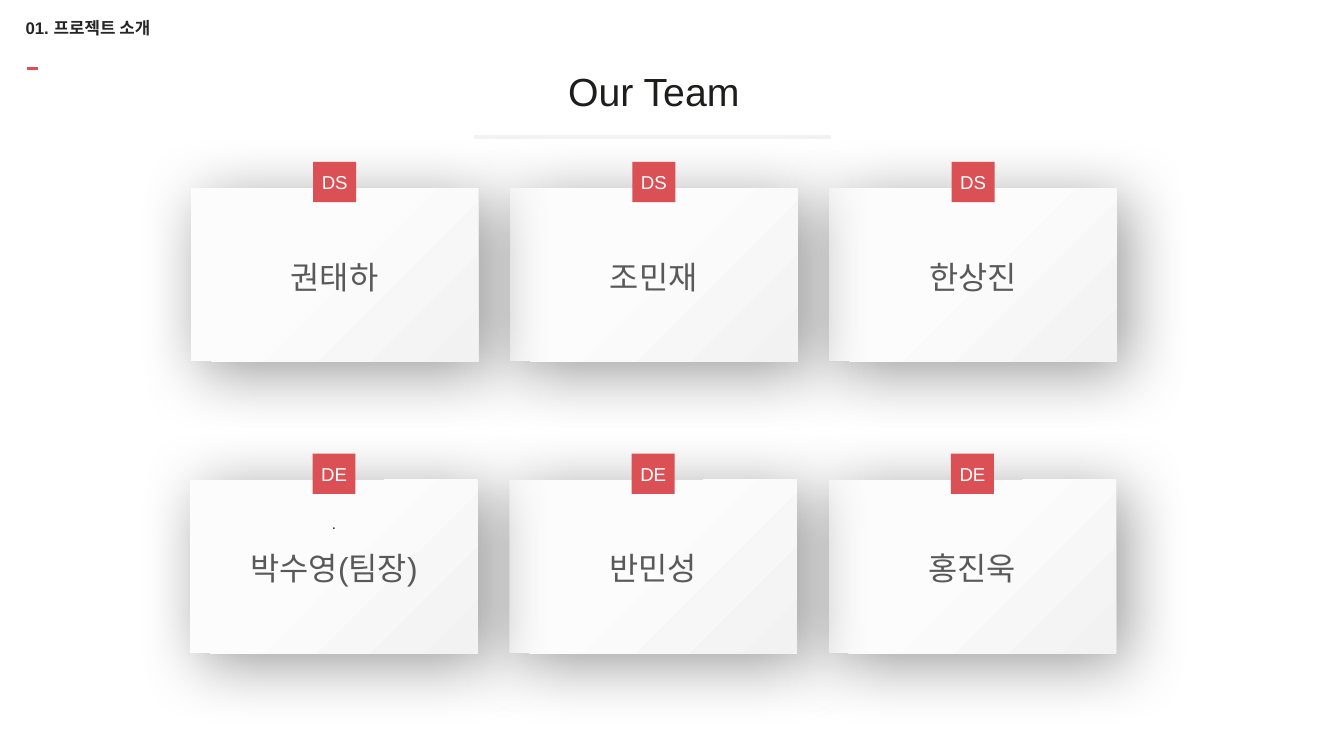
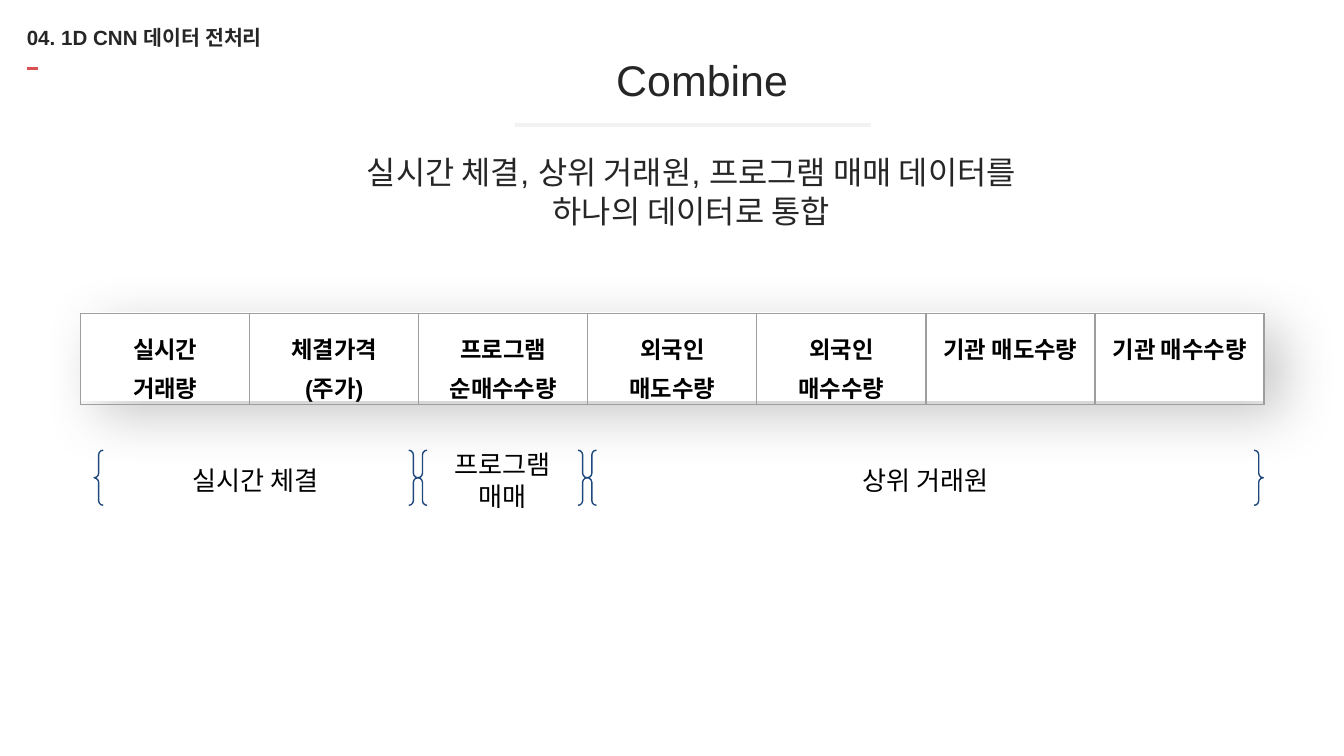
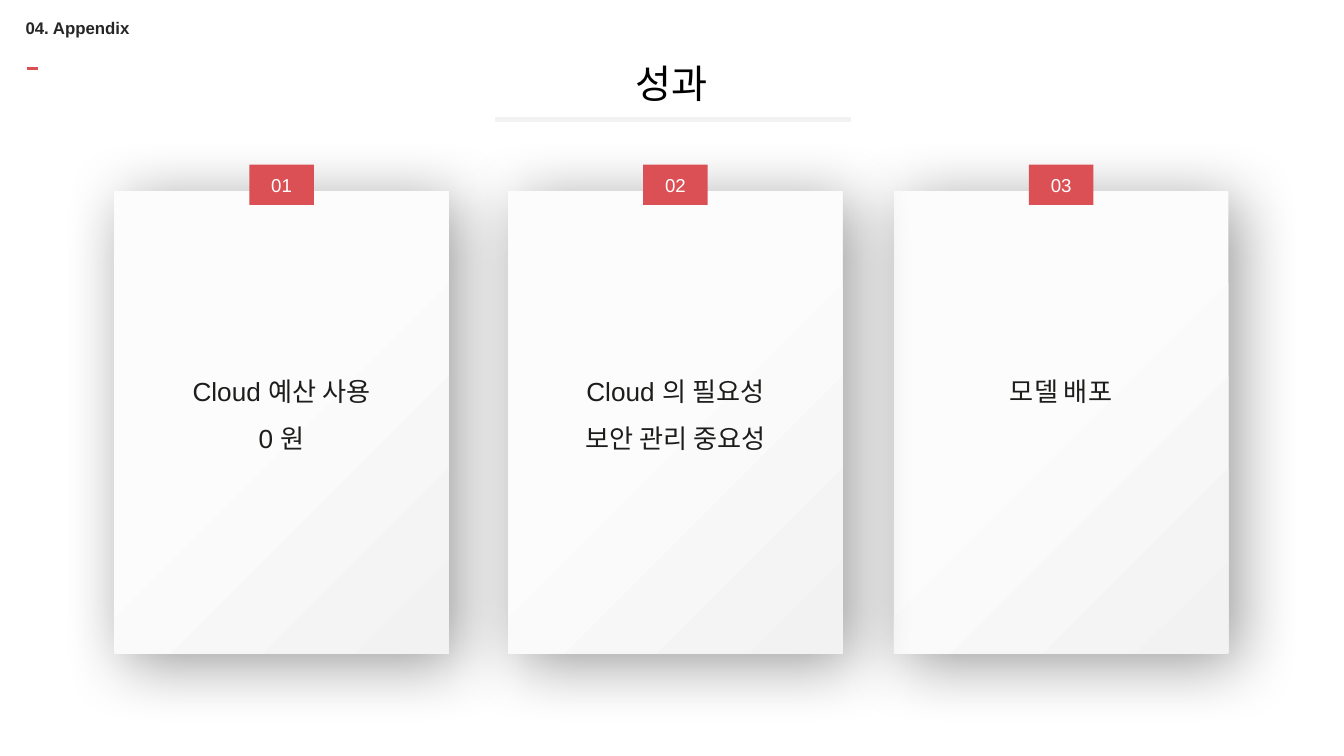
"""Build three project slides: team, combined data columns and results."""
from copy import deepcopy

from lxml import etree
from pptx import Presentation
from pptx import util as u
from pptx.dml.color import RGBColor
from pptx.enum import shapes, text
from pptx.oxml.ns import qn

RED, PALE, INK, BODY, BLACK, WHITE = "DA5054", "F2F2F2", "262626", "1D1D1B", "000000", "FFFFFF"
NAME_GREY, BRACE_BLUE, GRID_GREY, CARD_LIGHT = "595959", "1F497D", "9E9E9E", "FCFCFC"
FONT = "Arial"
COLUMNS, ROWS = 100, 56.25


def color(value):
    return RGBColor.from_string(value)


class Board:
    """Holds the deck, its style and the current page, on a 100-column grid."""

    def __init__(self):
        self.deck = Presentation()
        self.deck.slide_width, self.deck.slide_height = u.Inches(10), u.Inches(5.625)
        self.page = None

    def across(self, columns):
        return round(self.deck.slide_width * columns / COLUMNS)

    def down(self, rows):
        return round(self.deck.slide_height * rows / ROWS)

    def area(self, left, top, width, height):
        return self.across(left), self.down(top), self.across(width), self.down(height)

    def start_page(self, section, size, left, top, width, height):
        self.page = self.deck.slides.add_slide(self.deck.slide_layouts[6])
        self.label(section, (left, top, width, height), size, INK, bold=True, align="LEFT")
        self.line(2, 5.1, 0.8, RED, 2)

    def set_text(self, frame, lines, size, ink, bold=False, align="CENTER", anchor="MIDDLE",
                 insets=(0, 0, 0, 0), spacing=None, gap=0):
        frame.word_wrap = True
        frame.vertical_anchor = text.MSO_ANCHOR[anchor]
        frame.margin_left, frame.margin_right = map(self.across, insets[::2])
        frame.margin_top, frame.margin_bottom = map(self.down, insets[1::2])
        frame.text = lines
        for number, para in enumerate(frame.paragraphs):
            para.alignment = text.PP_ALIGN[align]
            if spacing:
                para.line_spacing = spacing
            if gap and number:
                para.space_before = u.Pt(gap)
            for span in para.runs:
                span.font.name, span.font.size, span.font.bold = FONT, u.Pt(size), bold
                span.font.color.rgb = color(ink)

    def label(self, lines, area, size, ink, **style):
        box = self.page.shapes.add_textbox(*self.area(*area))
        self.set_text(box.text_frame, lines, size, ink, **style)

    def line(self, left, top, length, ink, weight):
        start, level = self.across(left), self.down(top)
        rule = self.page.shapes.add_connector(
            shapes.MSO_CONNECTOR.STRAIGHT, start, level, start + self.across(length), level)
        rule.line.color.rgb, rule.line.width = color(ink), u.Pt(weight)
        etree.SubElement(rule.element.spPr, qn("a:effectLst"))

    def heading(self, title, area, size, ink, rule_left, rule_top, **style):
        self.line(rule_left, rule_top, 26.5, PALE, 2.25)
        self.label(title, area, size, ink, **style)

    def shape(self, kind, area, fill=None, outline=None):
        box = self.page.shapes.add_shape(shapes.MSO_SHAPE[kind], *self.area(*area))
        box.shadow.inherit = False
        if fill:
            box.fill.solid()
            box.fill.fore_color.rgb = color(fill)
        else:
            box.fill.background()
        if outline:
            box.line.color.rgb, box.line.width = color(outline), u.Pt(0.75)
        else:
            box.line.fill.background()
        return box

    def cast_shadow(self, box, opacity, blur, distance, angle):
        effects = box.element.spPr.find(qn("a:effectLst"))
        shadow = etree.SubElement(
            effects, qn("a:outerShdw"), blurRad=str(u.Pt(blur)), dist=str(u.Pt(distance)),
            dir=str(angle * 60000), algn="tl", rotWithShape="0")
        tint = etree.SubElement(shadow, qn("a:srgbClr"), val=BLACK)
        etree.SubElement(tint, qn("a:alpha"), val=str(opacity * 1000))

    def card(self, lines, area, badge, badge_width, size, ink, inset, gap=0):
        left, top, width, _ = area
        box = self.shape("RECTANGLE", area)
        box.fill.gradient()
        box.fill.gradient_angle = 315
        stops = box.element.spPr.find(".//" + qn("a:gsLst"))
        stops.insert(0, deepcopy(stops[0]))
        shades = ((0, CARD_LIGHT), (0.42, CARD_LIGHT), (1, PALE))
        for stop, (position, shade) in zip(box.fill.gradient_stops, shades):
            stop.position, stop.color.rgb = position, color(shade)
        self.cast_shadow(box, 40, 35, 8, 45)
        self.set_text(box.text_frame, lines, size, ink, anchor="TOP",
                      insets=(0.7, inset, 0.7, 0), gap=gap)
        tag = self.shape("RECTANGLE", (left + (width - badge_width) / 2, top - 1.95,
                                       badge_width, 3), RED)
        self.set_text(tag.text_frame, badge, 10, WHITE)
        return box

    def brace(self, caption, left, width):
        box = self.shape("DOUBLE_BRACE", (left, 33.5, width, 4.1), outline=BRACE_BLUE)
        self.set_text(box.text_frame, caption, 14, BLACK, insets=(1, 1, 1, 1))

    def table(self, headers, left, top, column_width, height):
        area = self.area(left, top, column_width * len(headers), height)
        table = self.page.shapes.add_table(1, len(headers), *area).table
        table.first_row = table.horz_banding = False
        for cell, header in zip(table.iter_cells(), headers):
            self.set_text(cell.text_frame, header, 12.5, BLACK, bold=True, spacing=1.15)
            cell.vertical_anchor = text.MSO_ANCHOR.TOP
            cell.margin_left = cell.margin_right = self.across(1)
            cell.margin_top = cell.margin_bottom = self.down(1)
            cell.fill.background()
            for place, side in enumerate(("a:lnL", "a:lnR", "a:lnT", "a:lnB")):
                border = etree.Element(qn(side), w=str(u.Pt(0.75)))
                paint = etree.SubElement(border, qn("a:solidFill"))
                etree.SubElement(paint, qn("a:srgbClr"), val=GRID_GREY)
                cell._tc.get_or_add_tcPr().insert(place, border)


def team_page(board):
    board.start_page("01. 프로젝트 소개", 9, 1.9, 0.7, 25.5, 2.7)
    board.heading("Our Team", (12, 5.3, 73.3, 2.9), 21, BODY, 35.3, 10.2,
                  insets=(0.9, 0.4, 0.9, 0.4))
    teams = (("DS", 14.2, 14, ("권태하", "조민재", "한상진")),
             ("DE", 14.15, 35.7, ("박수영(팀장)", "반민성", "홍진욱")))
    for role, left, top, names in teams:
        for column, name in reversed(list(enumerate(names))):
            leads = "팀장" in name
            lines, inset = (".\n" + name, 2.56) if leads else (name, 5.15)
            box = board.card(lines, (left + 23.75 * column, top, 21.4, 12.9), role, 3.2,
                             17, NAME_GREY, inset, gap=9)
            if leads:
                dot = box.text_frame.paragraphs[0].runs[0].font
                dot.size, dot.color.rgb = u.Pt(8), color(BODY)


def combine_page(board):
    board.start_page("04. 1D CNN 데이터 전처리", 11, 2, 1, 27.6, 3.5)
    backing = board.shape("RECTANGLE", (6, 23.3, 88.1, 6.5), WHITE, WHITE)
    board.cast_shadow(backing, 21, 30.4, 11.2, 37)
    padded = dict(anchor="TOP", insets=(1, 1, 1, 1))
    board.heading("Combine", (30.2, 3, 44.1, 7.7), 23, INK, 38.3, 9.3, **padded)
    board.label("실시간 체결, 상위 거래원, 프로그램 매매 데이터를 하나의 데이터로 통합",
                (22.9, 10.4, 57.1, 6.8), 17, INK, **padded)
    board.table(("실시간\n거래량", "체결가격\n(주가)", "프로그램\n순매수수량", "외국인 매도수량",
                 "외국인 매수수량", "기관 매도수량", "기관 매수수량"), 6, 23.3, 12.58, 6)
    left = 7
    for caption, width in (("실시간 체결", 24.1), ("프로그램 매매", 12.6), ("상위 거래원", 50.3)):
        board.brace(caption, left, width)
        left += width


def results_page(board):
    board.start_page("04. Appendix", 9, 1.9, 0.7, 25.5, 2.7)
    results = (("01", 8.5, "Cloud 예산 사용\n0 원"),
               ("03", 66.5, "모델 배포"),
               ("02", 37.8, "Cloud 의 필요성\n보안 관리 중요성"))
    for number, left, lines in results:
        board.card(lines, (left, 14.2, 24.9, 34.4), number, 4.8, 14, BODY, 13.7, gap=8.5)
    board.heading("성과", (13.3, 4.7, 73.3, 2.9), 21, BLACK, 36.8, 8.9,
                  insets=(0.9, 0.4, 0.9, 0.4))


def main():
    board = Board()
    team_page(board)
    combine_page(board)
    results_page(board)
    board.deck.save("out.pptx")


if __name__ == "__main__":
    main()
